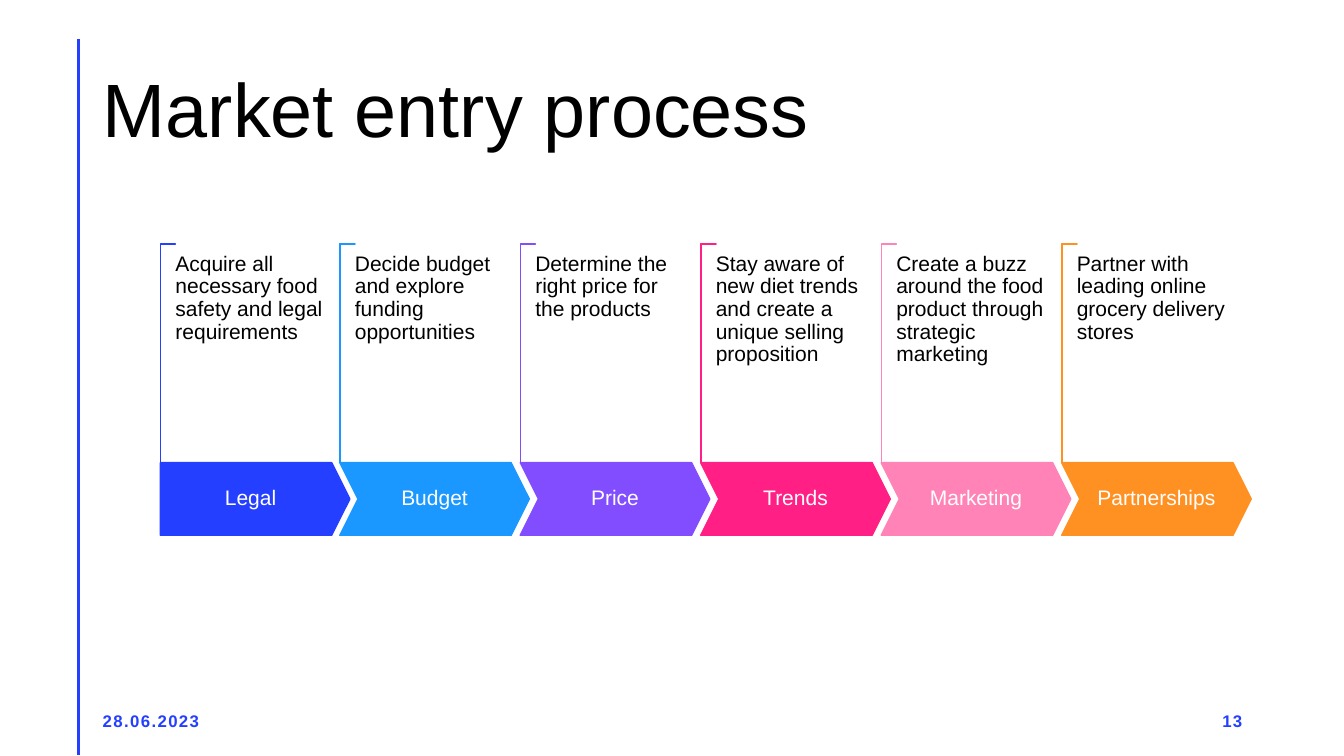
from dataclasses import dataclass

from pptx import Presentation
from pptx.dml.color import RGBColor
from pptx.enum.shapes import MSO_CONNECTOR, MSO_SHAPE
from pptx.enum.text import MSO_ANCHOR, PP_ALIGN
from pptx.oxml.ns import qn
from pptx.util import Emu, Pt

LEFT, CENTER, RIGHT = PP_ALIGN.LEFT, PP_ALIGN.CENTER, PP_ALIGN.RIGHT
TOP, MIDDLE = MSO_ANCHOR.TOP, MSO_ANCHOR.MIDDLE
CORNER, PENTAGON, CHEVRON = MSO_SHAPE.CORNER, MSO_SHAPE.PENTAGON, MSO_SHAPE.CHEVRON
STRAIGHT = MSO_CONNECTOR.STRAIGHT

EMU_PER_PX = 9144  # 100 px to the inch


@dataclass(frozen=True)
class Theme:
    font: str = "Arial"
    title_size: int = 54
    body_size: int = 15
    footer_size: int = 12
    text: str = "000000"
    paper: str = "FFFFFF"
    accent: str = "243FFF"


THEME = Theme()

STEPS = [
    ("Legal", "Acquire all necessary food safety and legal requirements", "243FFF"),
    ("Budget", "Decide budget and explore funding opportunities", "1A98FF"),
    ("Price", "Determine the right price for the products", "814DFF"),
    ("Trends", "Stay aware of new diet trends and create a unique selling proposition", "FF1F85"),
    ("Marketing", "Create a buzz around the food product through strategic marketing", "FF83B6"),
    ("Partnerships", "Partner with leading online grocery delivery stores", "FF9022"),
]

# Row of steps: first column and ten times the column pitch
ROW_LEFT, PITCH_TENTHS = 159, 1788
BRACKET_TOP, BRACKET_WIDTH, BRACKET_HEIGHT = 242, 15, 217
ARROW_TOP, ARROW_WIDTH, ARROW_HEIGHT = 459, 188, 72


def px(length):
    return Emu(round(length * EMU_PER_PX))


def rgb(color):
    return RGBColor.from_string(color)


def write(shape, text, size, color, align=LEFT, anchor=TOP, insets=(10, 5),
          bold=False, line_spacing=0.9, tracking=0):
    """Set one formatted paragraph in a shape."""
    frame = shape.text_frame
    frame.text = text
    frame.word_wrap = True
    frame.vertical_anchor = anchor
    frame.margin_left = frame.margin_right = px(insets[0])
    frame.margin_top = frame.margin_bottom = px(insets[1])
    para = frame.paragraphs[0]
    para.alignment = align
    para.line_spacing = line_spacing
    for span in para.runs:
        span.font.name = THEME.font
        span.font.size = Pt(size)
        span.font.bold = bold
        span.font.color.rgb = rgb(color)
        if tracking:
            span.font._element.set("spc", str(tracking * 100))


def add_text(page, left, top, width, height, *content, **style):
    box = page.shapes.add_textbox(px(left), px(top), px(width), px(height))
    write(box, *content, **style)


def add_preset(page, preset, left, top, width, height, fill, line):
    shape = page.shapes.add_shape(preset, px(left), px(top), px(width), px(height))
    shape.shadow.inherit = False
    shape.fill.solid()
    shape.fill.fore_color.rgb = rgb(fill)
    shape.line.color.rgb = rgb(line)
    shape.line.width = Pt(1)
    return shape


def add_title(page, text):
    title = page.shapes.title
    title.left, title.top, title.width, title.height = px(92), px(40), px(1150), px(145)
    write(title, text, THEME.title_size, THEME.text, anchor=MIDDLE)


def add_rule(page, x, top, bottom):
    rule = page.shapes.add_connector(STRAIGHT, px(x), px(top), px(x), px(bottom))
    rule.line.color.rgb = rgb(THEME.accent)
    rule.line.width = Pt(2)
    properties = rule._element.spPr
    properties.append(properties.makeelement(qn("a:effectLst"), {}))


def add_bracket(page, left, color):
    # The corner is laid flat around its centre, then turned upright
    offset = (BRACKET_HEIGHT - BRACKET_WIDTH) / 2
    bracket = add_preset(page, CORNER, left - offset, BRACKET_TOP + offset,
                         BRACKET_HEIGHT, BRACKET_WIDTH, THEME.paper, color)
    bracket.rotation = 90
    bracket.adjustments[0] = bracket.adjustments[1] = 0.01


def add_step(page, index, name, detail, color):
    left = ROW_LEFT + index * PITCH_TENTHS // 10
    add_bracket(page, left, color)
    arrow = add_preset(page, CHEVRON if index else PENTAGON, left, ARROW_TOP,
                       ARROW_WIDTH, ARROW_HEIGHT, color, color)
    arrow.adjustments[0] = 0.25
    write(arrow, name, THEME.body_size, THEME.paper,
          align=CENTER, anchor=MIDDLE, insets=(10, 21))
    add_text(page, left + 15, 251, 153, 199, detail, THEME.body_size, THEME.text,
             insets=(0, 0))


def add_footer(page, left, text, align):
    add_text(page, left, 695, 300, 40, text, THEME.footer_size, THEME.accent,
             align=align, anchor=MIDDLE, bold=True, line_spacing=1.0, tracking=1)


def main():
    deck = Presentation()
    deck.slide_width, deck.slide_height = px(1333), px(750)
    page = deck.slides.add_slide(deck.slide_layouts[5])

    # Heading and side rule
    add_rule(page, 78, 39, 749)
    add_title(page, "Market entry process")

    # Process steps
    for index, step in enumerate(STEPS):
        add_step(page, index, *step)

    # Footer
    add_footer(page, 942, "13", RIGHT)
    add_footer(page, 92, "28.06.2023", LEFT)

    deck.save("out.pptx")


if __name__ == "__main__":
    main()
